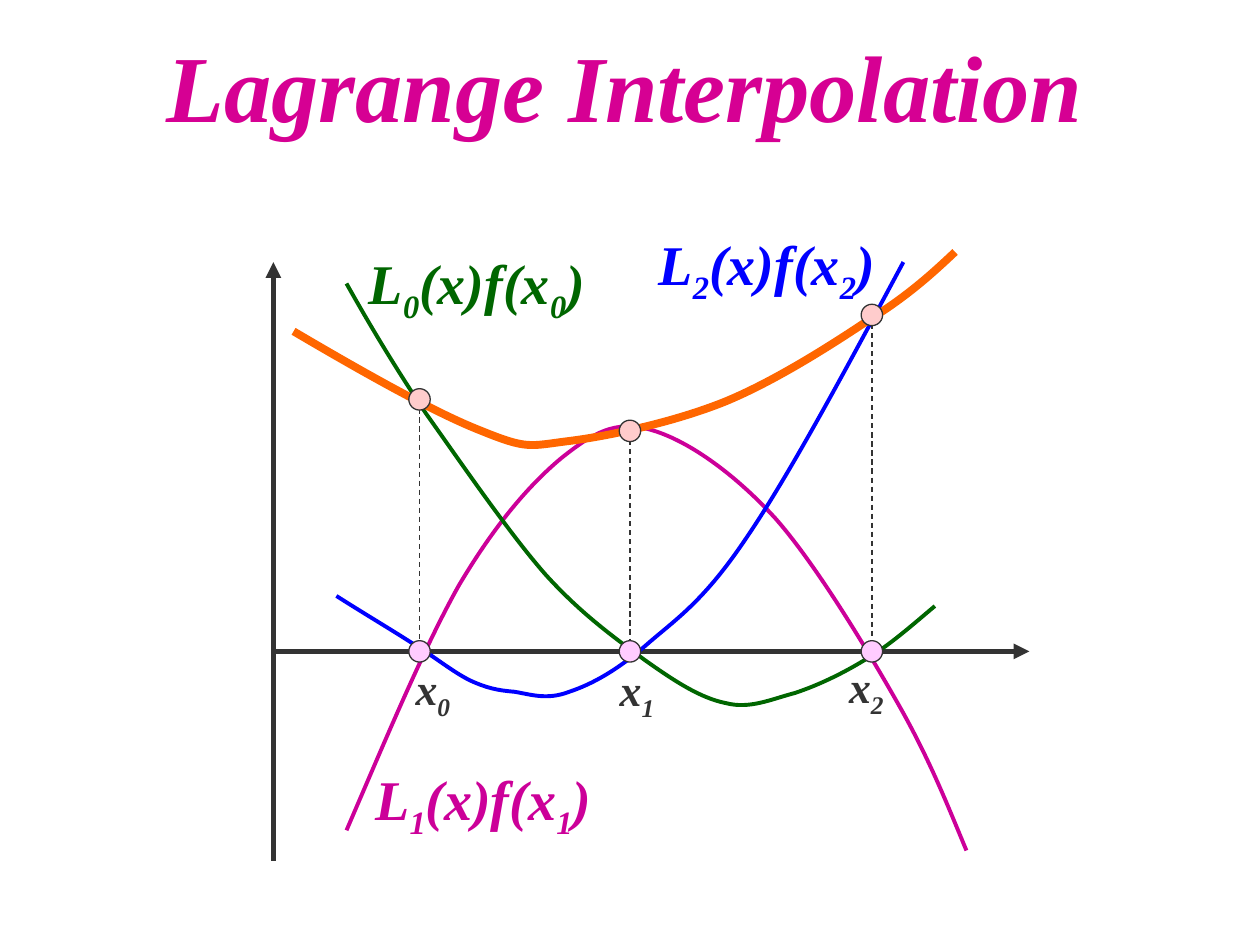
from itertools import chain

from lxml import etree
from pptx import Presentation
from pptx.dml.color import RGBColor
from pptx.enum.dml import MSO_LINE
from pptx.enum.shapes import MSO_CONNECTOR, MSO_SHAPE
from pptx.enum.text import MSO_ANCHOR, MSO_AUTO_SIZE, PP_ALIGN
from pptx.oxml.ns import qn
from pptx.util import Inches, Pt

FONT = "Times New Roman"
TITLE_PINK = RGBColor(0xD6, 0x00, 0x93)
DARK = RGBColor(0x33, 0x33, 0x33)
MAGENTA = RGBColor(0xCC, 0x00, 0x99)
BLUE = RGBColor(0x00, 0x00, 0xFF)
GREEN = RGBColor(0x00, 0x66, 0x00)
ORANGE = RGBColor(0xFF, 0x66, 0x00)
NODE_FILL = RGBColor(0xFF, 0xCC, 0xFF)
VALUE_FILL = RGBColor(0xFF, 0xCC, 0xCC)

ORIGIN_X, AXIS_Y = 2.17, 5.17
AXES = [((ORIGIN_X, AXIS_Y), (8.17, AXIS_Y)), ((ORIGIN_X, 6.83), (ORIGIN_X, 2.08))]
DOT = 0.17

# Interpolation points: x, height of the curve there
POINTS = [(3.33, 3.17), (5, 3.42), (6.92, 2.5)]

# Bezier curves: the start, then two control points and an end per segment
L1_CURVE = [
    (2.75, 6.59), (3.06, 5.87), (3.36, 5.15), (3.64, 4.65),
    (3.93, 4.16), (4.2, 3.85), (4.45, 3.64),
    (4.7, 3.44), (4.88, 3.33), (5.16, 3.41),
    (5.45, 3.49), (5.82, 3.75), (6.15, 4.11),
    (6.47, 4.47), (6.88, 5.15), (7.13, 5.59),
    (7.38, 6.03), (7.52, 6.39), (7.67, 6.75)]
L2_CURVE = [
    (2.67, 4.73), (2.89, 4.87), (3.11, 5), (3.28, 5.11),
    (3.46, 5.22), (3.59, 5.33), (3.73, 5.4),
    (3.86, 5.46), (3.95, 5.48), (4.08, 5.49),
    (4.21, 5.51), (4.34, 5.56), (4.52, 5.49),
    (4.7, 5.43), (4.9, 5.32), (5.14, 5.11),
    (5.37, 4.91), (5.59, 4.77), (5.93, 4.26),
    (6.27, 3.76), (6.72, 2.92), (7.17, 2.08)]
L0_CURVE = [
    (7.42, 4.81), (7.23, 4.97), (7.05, 5.13), (6.86, 5.24),
    (6.68, 5.35), (6.49, 5.44), (6.31, 5.5),
    (6.12, 5.55), (5.95, 5.63), (5.76, 5.58),
    (5.56, 5.54), (5.36, 5.41), (5.12, 5.24),
    (4.89, 5.07), (4.62, 4.88), (4.33, 4.56),
    (4.04, 4.23), (3.65, 3.66), (3.38, 3.28),
    (3.12, 2.89), (2.93, 2.57), (2.75, 2.25)]
SUM_CURVE = [
    (7.58, 2), (7.39, 2.18), (7.19, 2.36), (6.88, 2.55),
    (6.58, 2.75), (6.14, 3.03), (5.75, 3.19),
    (5.35, 3.35), (4.84, 3.46), (4.52, 3.5),
    (4.2, 3.54), (4.19, 3.57), (3.82, 3.42),
    (3.46, 3.28), (2.89, 2.96), (2.33, 2.63)]
BASIS_CURVES = [(L1_CURVE, MAGENTA), (L2_CURVE, BLUE), (L0_CURVE, GREEN)]

# Labels: index, left, top, width (and colour)
TERM_LABELS = [
    (1, 2.88, 6.02, 2.02, MAGENTA),
    (2, 5.13, 1.77, 2.1, BLUE),
    (0, 2.83, 1.92, 2.16, GREEN)]
NODE_LABELS = [(0, 3.2, 5.2), (1, 4.82, 5.21), (2, 6.64, 5.19)]


def style_font(font, size, color):
    font.name, font.size = FONT, Pt(size)
    font.bold = font.italic = True
    font.color.rgb = color


def add_line(start, end, width):
    line = s.shapes.add_connector(
        MSO_CONNECTOR.STRAIGHT, *(Inches(v) for v in chain(start, end)))
    line.line.color.rgb = DARK
    line.line.width = Pt(width)
    etree.SubElement(line._element.spPr, qn("a:effectLst"))
    return line


def add_curve(points, color, width):
    """Draw the control polygon, then turn each three line steps into a Bezier."""
    start, *rest = [(Inches(x), Inches(y)) for x, y in points]
    builder = s.shapes.build_freeform(*start)
    builder.add_line_segments(rest, close=False)
    curve = builder.convert_to_shape()
    steps = list(curve._element.iter(qn("a:lnTo")))
    for i in range(0, len(steps), 3):
        bezier = etree.Element(qn("a:cubicBezTo"))
        steps[i].addprevious(bezier)
        for step in steps[i:i + 3]:
            bezier.append(step[0])
            step.getparent().remove(step)
    curve.shadow.inherit = False
    curve.fill.background()
    curve.line.color.rgb = color
    curve.line.width = Pt(width)


def add_dot(x, y, fill):
    dot = s.shapes.add_shape(
        MSO_SHAPE.OVAL, Inches(x - DOT / 2), Inches(y - DOT / 2), Inches(DOT), Inches(DOT))
    dot.shadow.inherit = False
    dot.fill.solid()
    dot.fill.fore_color.rgb = fill
    dot.line.color.rgb = DARK
    dot.line.width = Pt(0.75)


def add_formula(parts, left, top, width, height, size, color, space):
    """Add a text box whose every second part is a subscript."""
    box = s.shapes.add_textbox(Inches(left), Inches(top), Inches(width), Inches(height))
    tf = box.text_frame
    tf.word_wrap = True
    tf.auto_size = MSO_AUTO_SIZE.SHAPE_TO_FIT_TEXT
    p = tf.paragraphs[0]
    p.space_before = Pt(space)
    for i, part in enumerate(parts):
        r = p.add_run()
        r.text = part
        style_font(r.font, size, color)
        if i % 2:
            r._r.get_or_add_rPr().set("baseline", "-25000")


prs = Presentation()
prs.slide_width, prs.slide_height = Inches(10), Inches(7.5)
s = prs.slides.add_slide(prs.slide_layouts[5])

title = s.shapes.title
title.left, title.top = Inches(0.67), Inches(0.25)
title.width, title.height = Inches(8.58), Inches(0.92)
tf = title.text_frame
tf.text = "Lagrange Interpolation"
tf.vertical_anchor = MSO_ANCHOR.BOTTOM
tf.paragraphs[0].alignment = PP_ALIGN.CENTER
style_font(tf.paragraphs[0].runs[0].font, 54, TITLE_PINK)

for start, end in AXES:
    axis = add_line(start, end, 3)
    etree.SubElement(axis.line._get_or_add_ln(), qn("a:tailEnd"), type="triangle")

for points, color in BASIS_CURVES:
    add_curve(points, color, 2.25)
for x, y in POINTS:
    add_line((x, y), (x, AXIS_Y), 0.75).line.dash_style = MSO_LINE.DASH
add_curve(SUM_CURVE, ORANGE, 4.5)

for i, left, top, width, color in TERM_LABELS:
    add_formula(["L", str(i), "(x)f(x", str(i), ")"], left, top, width, 0.71, 32, color, 20)
for x, y in POINTS:
    add_dot(x, AXIS_Y, NODE_FILL)
    add_dot(x, y, VALUE_FILL)
for i, left, top in NODE_LABELS:
    add_formula(["x", str(i)], left, top, 0.56, 0.58, 25, DARK, 15.6)

prs.save("out.pptx")
